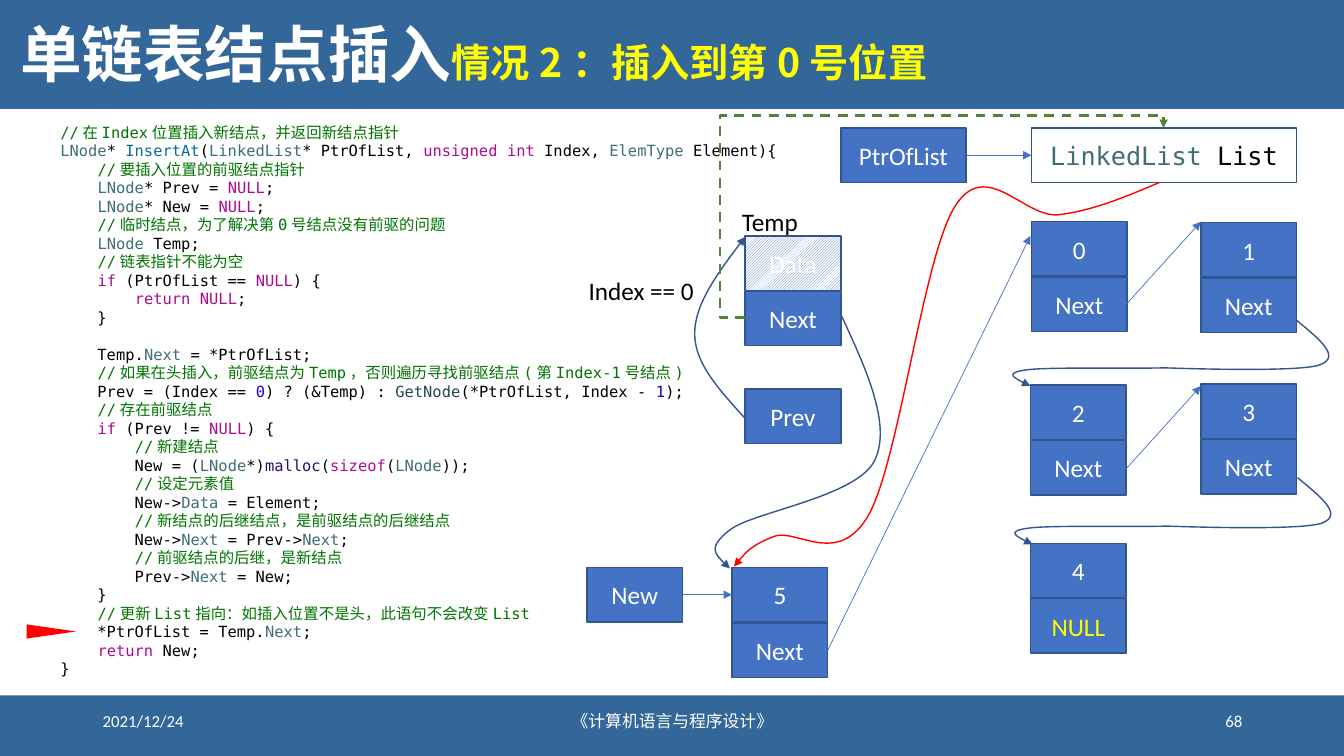
from dataclasses import dataclass
from itertools import groupby

from lxml.etree import SubElement
from pptx import Presentation
from pptx.dml.color import RGBColor
from pptx.enum.dml import MSO_LINE_DASH_STYLE as Dash, MSO_PATTERN_TYPE as Pattern
from pptx.enum.shapes import MSO_CONNECTOR_TYPE as Connector, MSO_SHAPE as Shape
from pptx.enum.text import MSO_ANCHOR as Anchor, MSO_AUTO_SIZE as AutoSize, PP_ALIGN as Align
from pptx.oxml.ns import qn
from pptx.util import Inches, Pt


@dataclass(frozen=True)
class Theme:
    band: str = "336699"
    node: str = "4472C4"
    edge: str = "325491"
    white: str = "FFFFFF"
    black: str = "000000"
    yellow: str = "FFFF00"
    red: str = "FF0000"
    green: str = "548235"
    comment: str = "007400"
    type_name: str = "3F6E74"
    keyword: str = "AA0D91"
    number: str = "1C00CF"
    declared: str = "0F68A0"
    called: str = "26474B"
    library: str = "2E0D6E"
    sans: str = "Calibri"
    mono: str = "DejaVu Sans Mono"
    chinese: str = "Noto Sans CJK SC"
    title_size: int = 44
    subtitle_size: int = 28
    label_size: int = 18
    footer_size: int = 12
    code_size: int = 11
    code_gap: float = 13.2


THEME = Theme()
WORD_COLOURS = {
    **dict.fromkeys(["LNode", "LinkedList", "ElemType", "Next", "Data"], THEME.type_name),
    **dict.fromkeys(["unsigned", "int", "NULL", "if", "return", "sizeof"], THEME.keyword),
    **dict.fromkeys(["0", "1"], THEME.number),
    "InsertAt": THEME.declared, "GetNode": THEME.called, "malloc": THEME.library,
}
CODE = """//在Index位置插入新结点，并返回新结点指针
LNode* InsertAt(LinkedList* PtrOfList, unsigned int Index, ElemType Element){
    //要插入位置的前驱结点指针
    LNode* Prev = NULL;
    LNode* New = NULL;
    //临时结点，为了解决第0号结点没有前驱的问题
    LNode Temp;
    //链表指针不能为空
    if (PtrOfList == NULL) {
        return NULL;
    }

    Temp.Next = *PtrOfList;
    //如果在头插入，前驱结点为Temp，否则遍历寻找前驱结点(第Index-1号结点)
    Prev = (Index == 0) ? (&Temp) : GetNode(*PtrOfList, Index - 1);
    //存在前驱结点
    if (Prev != NULL) {
        //新建结点
        New = (LNode*)malloc(sizeof(LNode));
        //设定元素值
        New->Data = Element;
        //新结点的后继结点，是前驱结点的后继结点
        New->Next = Prev->Next;
        //前驱结点的后继，是新结点
        Prev->Next = New;
    }
    //更新List指向：如插入位置不是头，此语句不会改变List
    *PtrOfList = Temp.Next;
    return New;
}"""
CELL_WIDTH, CELL_HEIGHT, CELL_STEP = 0.95, 0.54, 0.55
NODES = [(10.23, 2.2, "0"), (11.91, 2.21, "1"), (10.22, 3.82, "2"), (11.91, 3.81, "3"),
         (7.26, 5.63, "5")]
ARROWS = [(9.58, 1.54, 10.23, 1.54), (6.77, 5.9, 7.26, 5.9), (11.17, 3.02, 11.91, 2.2),
          (11.17, 4.65, 11.91, 3.83), (8.21, 6.45, 10.22, 2.34)]
ROW_WRAP = [(12.85, 3.17), (13.08, 3.36), (13.31, 3.54), (13.09, 3.62), (12.88, 3.7),
            (11.56, 3.65), (11.56, 3.65), (11.07, 3.66), (10.41, 3.64), (10.18, 3.67),
            (9.96, 3.7), (10.09, 3.77), (10.22, 3.83)]
PREV_TO_TEMP = [(7.38, 4.14), (7.14, 3.87), (6.89, 3.61), (6.89, 3.31), (6.89, 3.02),
                (7.14, 2.68), (7.39, 2.35)]
TEMP_TO_NEW = [(8.35, 3.14), (8.6, 3.68), (8.85, 4.23), (8.67, 4.58), (8.48, 4.93),
               (7.48, 5.08), (7.25, 5.25), (7.01, 5.43), (7.12, 5.53), (7.24, 5.64)]
LIST_TO_NEW = [(11.5, 1.81), (11.17, 1.95), (10.84, 2.09), (10.5, 2.13), (10.16, 2.17),
               (9.78, 1.55), (9.47, 2.05), (9.16, 2.54), (8.92, 4.55), (8.62, 5.1),
               (8.32, 5.64), (7.9, 5.24), (7.68, 5.32), (7.45, 5.41), (7.37, 5.51),
               (7.28, 5.62)]


class SlideBuilder:
    """Draws styled elements on the current slide."""

    def __init__(self, presentation, theme):
        self.theme = theme
        self.slide = presentation.slides.add_slide(presentation.slide_layouts[5])
        self.shapes = self.slide.shapes

    def run(self, paragraph, text, size, colour, font=None, bold=False, chinese=None):
        run = paragraph.add_run()
        run.text = text
        run.font.size, run.font.bold = Pt(size), bold
        run.font.name = font or self.theme.sans
        run.font.color.rgb = RGBColor.from_string(colour)
        if chinese:
            SubElement(run.font._element, qn("a:ea"), typeface=chinese)

    def title(self, main, detail):
        theme, title = self.theme, self.shapes.title
        self.shapes._spTree.append(title._element)
        title.left, title.top, title.width, title.height = map(Inches, (0.1, 0.12, 12.32, 0.91))
        frame = title.text_frame
        frame.auto_size, frame.vertical_anchor = AutoSize.NONE, Anchor.MIDDLE
        paragraph = frame.paragraphs[0]
        paragraph.alignment, paragraph.line_spacing = Align.LEFT, 0.9
        for text, size, colour in ((main, theme.title_size, theme.white),
                                   (detail, theme.subtitle_size, theme.yellow)):
            self.run(paragraph, text, size, colour, theme.chinese, True, theme.chinese)

    def box(self, left, top, width, height, runs=(), fill=None, edge=None, preset=Shape.RECTANGLE):
        shape = self.shapes.add_shape(preset, *map(Inches, (left, top, width, height)))
        shape.shadow.inherit = False
        if fill:
            shape.fill.solid()
            shape.fill.fore_color.rgb = RGBColor.from_string(fill)
        else:
            shape.fill.background()
        if edge:
            self.stroke(shape, edge, 1)
        else:
            shape.line.fill.background()
        shape.text_frame.vertical_anchor = Anchor.MIDDLE
        paragraph = shape.text_frame.paragraphs[0]
        paragraph.alignment = Align.CENTER
        for text, colour, font in runs:
            self.run(paragraph, text, self.theme.label_size, colour, font)
        return shape

    def cell(self, left, top, text, colour=None, width=CELL_WIDTH):
        runs = [(text, colour or self.theme.white, self.theme.sans)]
        return self.box(left, top, width, CELL_HEIGHT, runs, self.theme.node, self.theme.edge)

    def node(self, left, top, data, link="Next", link_colour=None):
        self.cell(left, top + CELL_STEP, link, link_colour)
        return self.cell(left, top, data)

    def text_box(self, left, top, width, height, wrap=True):
        frame = self.shapes.add_textbox(*map(Inches, (left, top, width, height))).text_frame
        frame.word_wrap = wrap
        return frame

    def label(self, left, top, width, text):
        paragraph = self.text_box(left, top, width, 0.4, False).paragraphs[0]
        self.run(paragraph, text, self.theme.label_size, self.theme.black)

    def footer(self, left, width, text, alignment):
        frame = self.text_box(left, 6.95, width, 0.4)
        frame.vertical_anchor = Anchor.MIDDLE
        frame.paragraphs[0].alignment = alignment
        self.run(frame.paragraphs[0], text, self.theme.footer_size, self.theme.white)

    def code(self, left, top, width, height, source):
        theme, frame = self.theme, self.text_box(left, top, width, height)
        paragraph, gap = frame.paragraphs[0], 0
        for number, line in enumerate(source.splitlines()):
            if not line:
                gap = theme.code_gap
                continue
            if number:
                paragraph = frame.add_paragraph()
                paragraph.space_before, gap = Pt(gap), 0
            plain, slashes, comment = line.partition("//")
            words = ("".join(letters) for _, letters in groupby(plain, str.isalnum))
            tokens = [(WORD_COLOURS.get(word, theme.black), word) for word in words]
            if slashes:
                tokens.append((theme.comment, slashes + comment))
            for colour, text in tokens:
                self.run(paragraph, text, theme.code_size, colour, theme.mono, chinese=theme.mono)

    def stroke(self, shape, colour, width, dash=None, arrow=False):
        shape.line.color.rgb = RGBColor.from_string(colour)
        shape.line.width = Pt(width)
        if dash:
            shape.line.dash_style = dash
        if arrow:
            SubElement(shape._element.spPr.find(qn("a:ln")), qn("a:tailEnd"), type="triangle")

    def arrow(self, ends, colour, width, kind=Connector.STRAIGHT, dash=None):
        connector = self.shapes.add_connector(kind, *map(Inches, ends))
        self.stroke(connector, colour, width, dash, True)
        SubElement(connector._element.spPr, qn("a:effectLst"))
        return connector

    def detour(self, ends, colour, bends):
        properties = self.arrow(ends, colour, 1.75, Connector.ELBOW, Dash.DASH)._element.spPr
        frame, geometry = properties.find(qn("a:xfrm")), properties.find(qn("a:prstGeom"))
        frame.attrib.clear()
        frame.set("rot", "10800000")
        frame.set("flipH", "1")
        geometry.set("prst", "bentConnector4")
        guides = geometry.find(qn("a:avLst"))
        for index, bend in enumerate(bends, 1):
            SubElement(guides, qn("a:gd"), name=f"adj{index}", fmla=f"val {bend}")

    def curve(self, points, colour):
        start, *rest = [(Inches(x), Inches(y)) for x, y in points]
        builder = self.shapes.build_freeform(*start)
        builder.add_line_segments(rest, close=False)
        shape = builder.convert_to_shape()
        outline = next(shape._element.iter(qn("a:path")))
        segments = outline.findall(qn("a:lnTo"))
        for first in range(0, len(segments), 3):
            bezier = SubElement(outline, qn("a:cubicBezTo"))
            for segment in segments[first:first + 3]:
                bezier.append(segment[0])
                outline.remove(segment)
        shape.shadow.inherit = False
        shape.fill.background()
        self.stroke(shape, colour, 1, arrow=True)


def main():
    presentation = Presentation()
    presentation.slide_width, presentation.slide_height = Inches(13.33), Inches(7.5)
    page = SlideBuilder(presentation, THEME)
    page.box(0, 0, 13.33, 1.08, fill=THEME.band)
    page.box(0, 6.9, 13.33, 0.6, fill=THEME.band)
    page.title("单链表结点插入", "情况2：插入到第0号位置")
    page.footer(0.92, 3, "2021/12/24", Align.LEFT)
    page.footer(4.42, 4.5, "《计算机语言与程序设计》", Align.CENTER)
    page.footer(9.42, 3, "68", Align.RIGHT)
    page.code(0.5, 1.17, 7.36, 5.65, CODE)
    for left, top, data in NODES:
        page.node(left, top, data)
    page.node(10.22, 5.39, "4", "NULL", THEME.yellow)
    temp_data = page.node(7.39, 2.34, "Data")
    temp_data.fill.patterned()
    temp_data.fill.pattern = Pattern.DARK_UPWARD_DIAGONAL
    temp_data.fill.fore_color.rgb = RGBColor.from_string(THEME.node)
    temp_data.fill.back_color.rgb = RGBColor.from_string(THEME.white)
    page.cell(8.34, 1.27, "PtrOfList", width=1.24)
    page.cell(7.39, 3.86, "Prev")
    page.cell(5.82, 5.63, "New")
    page.box(10.23, 1.27, 2.63, CELL_HEIGHT, [("LinkedList ", THEME.type_name, THEME.mono),
             ("List", THEME.black, THEME.mono)], edge=THEME.edge)
    page.label(7.26, 2, 0.76, "Temp")
    page.label(5.74, 2.68, 1.26, "Index == 0")
    for ends in ARROWS:
        page.arrow(ends, THEME.node, 0.5)
    lower_wrap = [(x + 0.02, y + 1.57) for x, y in ROW_WRAP]
    for points in (ROW_WRAP, lower_wrap, PREV_TO_TEMP, TEMP_TO_NEW):
        page.curve(points, THEME.edge)
    page.box(0.44, 6.02, 0.14, 0.49, fill=THEME.red, preset=Shape.ISOSCELES_TRIANGLE).rotation = 90
    page.detour((7.39, 3.15, 11.54, 1.27), THEME.green, (-6000, 106500))
    page.curve(LIST_TO_NEW, THEME.red)
    presentation.save("out.pptx")


if __name__ == "__main__":
    main()
